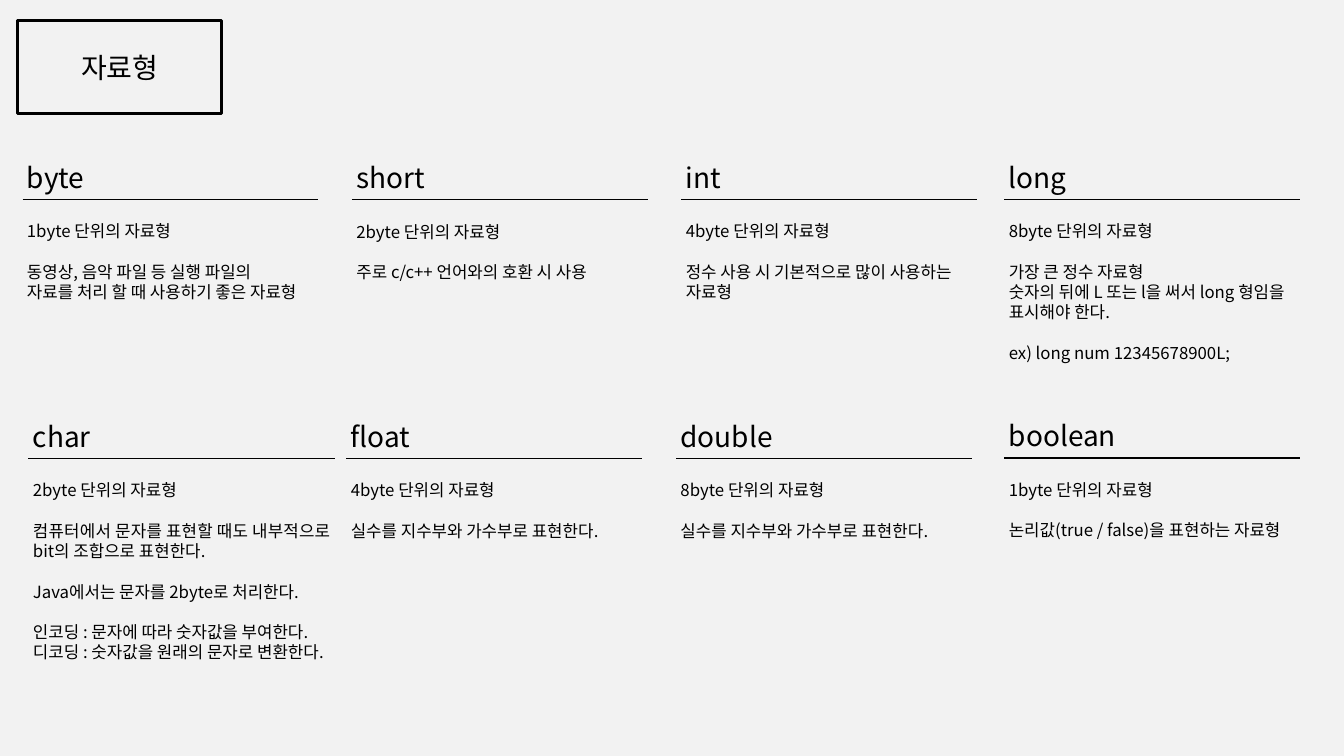
"""Build a slide that describes the eight primitive data types."""
from dataclasses import dataclass

from lxml.etree import SubElement
from pptx import Presentation
from pptx.dml.color import RGBColor
from pptx.enum.shapes import MSO_CONNECTOR, MSO_SHAPE
from pptx.enum.text import MSO_ANCHOR, MSO_AUTO_SIZE, PP_ALIGN
from pptx.oxml.ns import qn
from pptx.util import Pt


@dataclass(frozen=True)
class Theme:
    """Hold the colours, font, type sizes and line widths."""
    background: RGBColor = RGBColor(0xF2, 0xF2, 0xF2)
    ink: RGBColor = RGBColor(0, 0, 0)
    font: str = "Noto Sans CJK KR"
    heading_size: float = 20
    body_size: float = 12
    line_height: float = 14.5
    frame_width: float = 2
    rule_width: float = 1.25


@dataclass(frozen=True)
class DataType:
    """Describe one data type and the place of its block."""
    name: str
    left: float
    top: float
    groups: tuple
    lines: int
    width: float = 219
    heading_width: float = 88


THEME = Theme()
HEADING_HEIGHT = 31.7
BODY_OFFSET = 43.6
RULE_INSET = 3.9
TOP_ROW = 110.9
BOTTOM_ROW = 295.8

DATA_TYPES = (
    DataType("byte", 12.2, TOP_ROW, (
        ("1byte 단위의 자료형",),
        ("동영상, 음악 파일 등 실행 파일의", "자료를 처리 할 때 사용하기 좋은 자료형")), 5),
    DataType("short", 247.5, TOP_ROW, (
        ("2byte 단위의 자료형",),
        ("주로 c/c++ 언어와의 호환 시 사용",)), 3),
    DataType("int", 482.8, TOP_ROW, (
        ("4byte 단위의 자료형",),
        ("정수 사용 시 기본적으로 많이 사용하는", "자료형")), 5),
    DataType("long", 713.5, TOP_ROW, (
        ("8byte 단위의 자료형",),
        ("가장 큰 정수 자료형", "숫자의 뒤에 L 또는 l을 써서 long 형임을", "표시해야 한다."),
        ("ex) long num 12345678900L;",)), 8),
    DataType("char", 16.4, BOTTOM_ROW, (
        ("2byte 단위의 자료형",),
        ("컴퓨터에서 문자를 표현할 때도 내부적으로 bit의 조합으로 표현한다.",),
        ("Java에서는 문자를 2byte로 처리한다.",),
        ("인코딩 : 문자에 따라 숫자값을 부여한다.", "디코딩 : 숫자값을 원래의 문자로 변환한다.")),
        11, width=226.8),
    DataType("float", 243.5, BOTTOM_ROW, (
        ("4byte 단위의 자료형",),
        ("실수를 지수부와 가수부로 표현한다.",)), 3),
    DataType("double", 479, BOTTOM_ROW, (
        ("8byte 단위의 자료형",),
        ("실수를 지수부와 가수부로 표현한다.",)), 3),
    DataType("boolean", 713.5, 295.2, (
        ("1byte 단위의 자료형",),
        ("논리값(true / false)을 표현하는 자료형",)), 4, heading_width=126),
)


def place(shape, left, top, width, height):
    """Move and size a shape, in points."""
    shape.left, shape.top = Pt(left), Pt(top)
    shape.width, shape.height = Pt(width), Pt(height)


def write_text(text_frame, groups, *, size, align=PP_ALIGN.LEFT):
    """Write groups of paragraphs, one line of space between groups."""
    text_frame.word_wrap = True
    text_frame.auto_size = MSO_AUTO_SIZE.SHAPE_TO_FIT_TEXT
    text_frame.vertical_anchor = MSO_ANCHOR.TOP
    paragraph = None
    for group in groups:
        for index, text in enumerate(group):
            starts_group = paragraph is not None and index == 0
            paragraph = text_frame.add_paragraph() if paragraph else text_frame.paragraphs[0]
            paragraph.alignment = align
            paragraph.space_before = Pt(THEME.line_height if starts_group else 0)
            run = paragraph.add_run()
            run.text = text
            run.font.size = Pt(size)
            run.font.name = THEME.font
            run.font.color.rgb = THEME.ink
            SubElement(run.font._element, qn("a:ea"), typeface=THEME.font)


def add_text(slide, left, top, width, height, groups, **text_format):
    """Add a text box, in points."""
    box = slide.shapes.add_textbox(Pt(left), Pt(top), Pt(width), Pt(height))
    write_text(box.text_frame, groups, **text_format)


def add_rule(slide, left, top, width):
    """Add a horizontal line without a shadow."""
    rule = slide.shapes.add_connector(
        MSO_CONNECTOR.STRAIGHT, Pt(left), Pt(top), Pt(left + width), Pt(top))
    rule.line.color.rgb = THEME.ink
    rule.line.width = Pt(THEME.rule_width)
    SubElement(rule._element.spPr, qn("a:effectLst"))


def add_title(slide, text):
    """Write the title and draw its frame."""
    title = slide.shapes.title
    place(title, 16.5, 32.4, 138.3, 31.7)
    write_text(title.text_frame, ((text,),), size=THEME.heading_size, align=PP_ALIGN.CENTER)
    frame = slide.shapes.add_shape(
        MSO_SHAPE.RECTANGLE, Pt(12.4), Pt(14.4), Pt(146), Pt(67))
    frame.shadow.inherit = False
    frame.fill.background()
    frame.line.color.rgb = THEME.ink
    frame.line.width = Pt(THEME.frame_width)


def add_data_type(slide, data_type):
    """Add the heading, rule and description of one data type."""
    left, top, width = data_type.left, data_type.top, data_type.width
    add_text(slide, left, top, data_type.heading_width, HEADING_HEIGHT,
             ((data_type.name,),), size=THEME.heading_size)
    add_text(slide, left, top + BODY_OFFSET, width,
             data_type.lines * THEME.line_height + 7.2, data_type.groups,
             size=THEME.body_size, align=PP_ALIGN.JUSTIFY)
    add_rule(slide, left + RULE_INSET, top + HEADING_HEIGHT, width - 2 * RULE_INSET)


def main():
    """Build and save the presentation."""
    presentation = Presentation()
    presentation.slide_width, presentation.slide_height = Pt(960), Pt(540)
    slide = presentation.slides.add_slide(presentation.slide_layouts[5])
    slide.background.fill.solid()
    slide.background.fill.fore_color.rgb = THEME.background
    add_title(slide, "자료형")
    for data_type in DATA_TYPES:
        add_data_type(slide, data_type)
    presentation.save("out.pptx")


if __name__ == "__main__":
    main()
